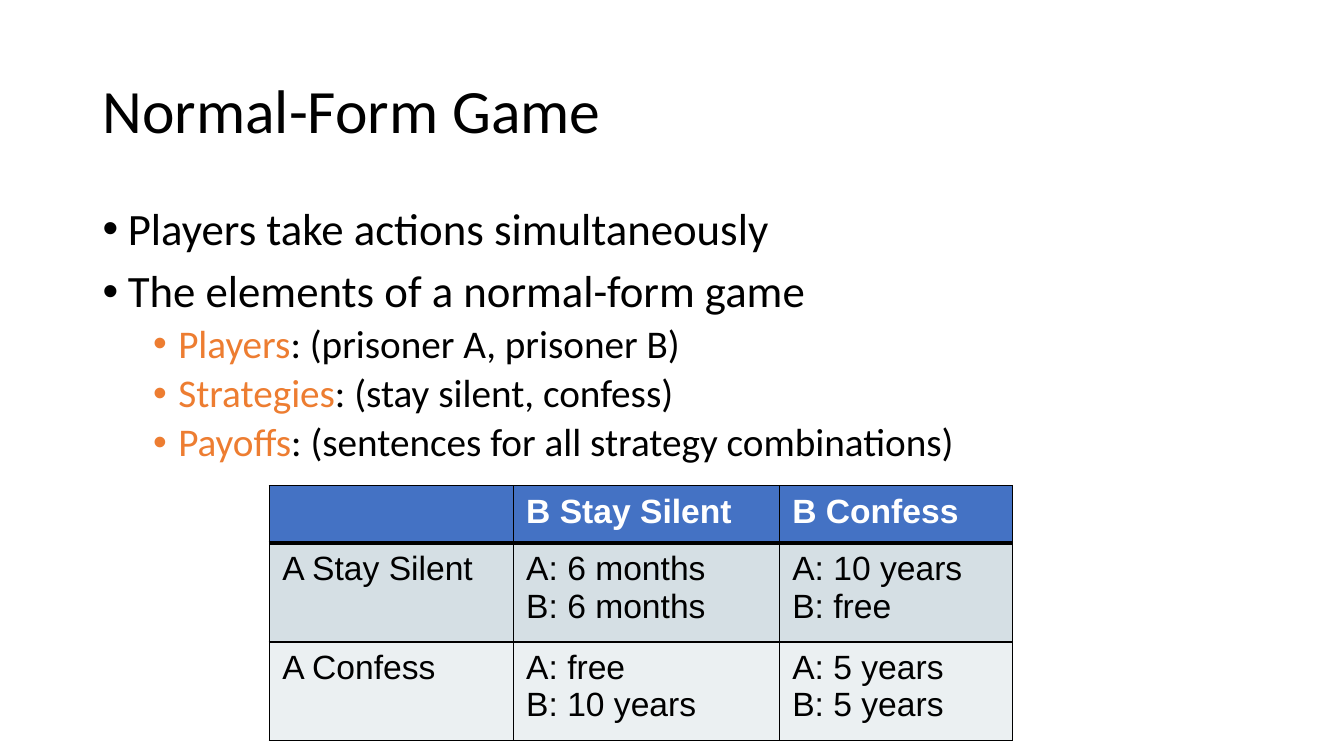
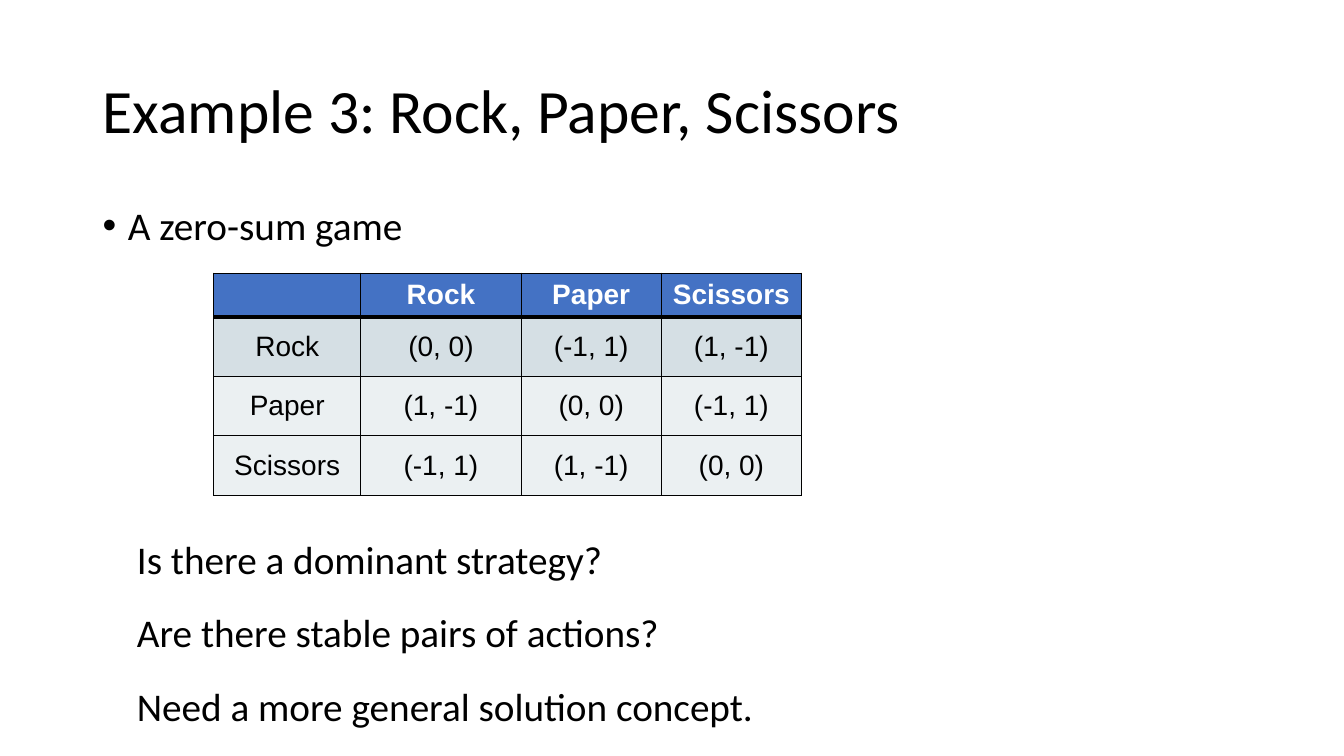
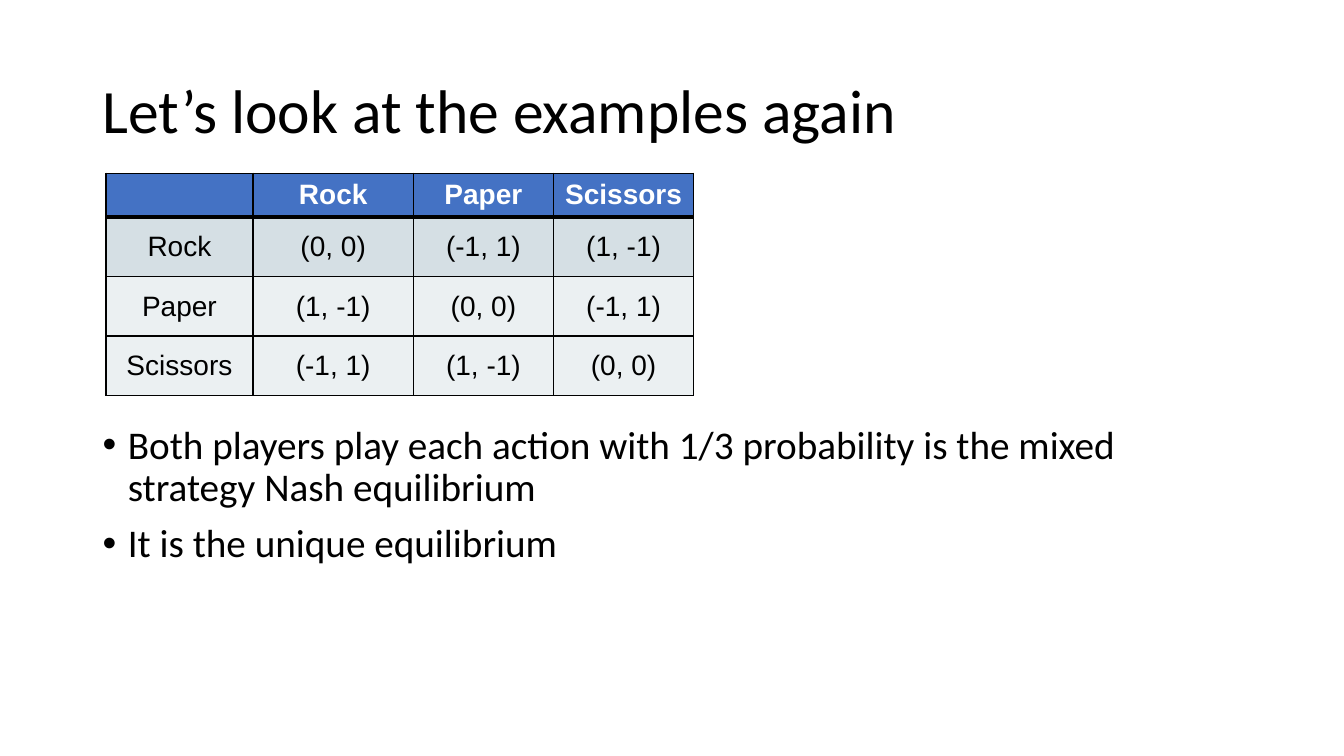
from lxml.etree import SubElement as Sub
from pptx import Presentation
from pptx.dml.color import RGBColor as Rgb
from pptx.enum.text import MSO_ANCHOR as Anchor, PP_ALIGN as Align
from pptx.oxml.ns import qn
from pptx.util import Inches, Pt

# Shared look
HUE = {"ink": "000000", "paper": "FFFFFF", "key": "ED7D31",
       "head": "4472C4", "dark": "D5DFE4", "pale": "EBF0F2"}
LEFT, WIDE = 6.9, 86.25  # text column, percent of slide width

deck = Presentation()
deck.slide_width, deck.slide_height = Inches(13.33), Inches(7.5)
COL, ROW = deck.slide_width / 100, deck.slide_height / 100


def write(frame, text, key="", size=28, font="Calibri", hue="ink", bold=False,
          align=Align.LEFT, lead=None, level=None):
    """Add one paragraph; key is a coloured opening, level makes a bullet."""
    first = not frame.text
    para = frame.paragraphs[0] if first else frame.add_paragraph()
    para.alignment = align
    if lead:
        para.line_spacing = lead
    if level is not None:
        if not first:
            para.space_before = Pt(5 if level else 10)
        prop = para._p.get_or_add_pPr()
        prop.set("marL", str(Inches(0.25 + 0.5 * level)))
        prop.set("indent", str(Inches(-0.25)))
        Sub(prop, qn("a:buFont"), typeface="Arial")
        Sub(prop, qn("a:buChar"), char="•")
    for part, tint in ((key, "key"), (text, hue)):
        if part:
            run = para.add_run()
            run.text = part
            run.font.name, run.font.size, run.font.bold = font, Pt(size), bold
            run.font.color.rgb = Rgb.from_string(HUE[tint])


def edge(cell, row):
    """Draw thin black borders, with a thick one under the header row."""
    prop = cell._tc.get_or_add_tcPr()
    thick = {0: "B", 1: "T"}.get(row)
    for side in "LRTB":
        line = Sub(prop, qn(f"a:ln{side}"), w=str(Pt(3 if side == thick else 1)))
        Sub(Sub(line, qn("a:solidFill")), qn("a:srgbClr"), val=HUE["ink"])


# Table contents: each payoff in the game follows from the step between moves
jail = [["", "B Stay Silent", "B Confess"],
        ["A Stay Silent", "A: 6 months\nB: 6 months", "A: 10 years\nB: free"],
        ["A Confess", "A: free\nB: 10 years", "A: 5 years\nB: 5 years"]]
moves = ["Rock", "Paper", "Scissors"]
game = [["", *moves]]
for i, move in enumerate(moves):
    gains = [(0, -1, 1)[(j - i) % 3] for j in range(3)]
    game.append([move, *(f"({gain}, {-gain})" for gain in gains)])

# Table styles: column and row sizes in percent of the slide
wide = dict(data=jail, cols=[18.15, 19.8, 17.33], rows=[7.6, 13.07, 13.07],
            pad=(0.13, 0.07), size=24, align=Align.LEFT, anchor=Anchor.TOP)
small = dict(data=game, cols=[10.95, 11.93, 10.43, 10.43],
             rows=[5.47, 7.87, 7.87, 7.87], pad=(0.1, 0.05), size=20,
             align=Align.CENTER, anchor=Anchor.MIDDLE)

# Slides: title, body top and height, bullets, table style and place
pages = [
    ("Normal-Form Game", 26.67, 63.47, [
        dict(text="Players take actions simultaneously", size=32, level=0),
        dict(text="The elements of a normal-form game", size=32, level=0),
        dict(key="Players", text=": (prisoner A, prisoner B)", level=1),
        dict(key="Strategies", text=": (stay silent, confess)", level=1),
        dict(key="Payoffs", text=": (sentences for all strategy combinations)",
             level=1)],
     wide, 20.03, 64.27),
    ("Example 3: Rock, Paper, Scissors", 26.67, 63.47, [
        dict(text="A zero-sum game", level=0)],
     small, 15.9, 36.13),
    ("Let’s look at the examples again", 55.6, 34.4, [
        dict(text="Both players play each action with 1/3 probability is the "
                  "mixed strategy Nash equilibrium", level=0),
        dict(text="It is the unique equilibrium", level=0)],
     small, 7.88, 22.93),
]

for title, top, high, points, style, x, y in pages:
    slide = deck.slides.add_slide(deck.slide_layouts[6])

    # Title and bullets
    for start, tall, anchor, lines in (
            (5.33, 19.33, Anchor.MIDDLE, [dict(text=title, size=44)]),
            (top, high, Anchor.TOP, points)):
        box = slide.shapes.add_textbox(
            int(LEFT * COL), int(start * ROW), int(WIDE * COL), int(tall * ROW))
        frame = box.text_frame
        frame.word_wrap, frame.vertical_anchor = True, anchor
        for line in lines:
            write(frame, lead=0.9, **line)

    # Table
    cols, rows = style["cols"], style["rows"]
    table = slide.shapes.add_table(
        len(rows), len(cols), int(x * COL), int(y * ROW),
        int(sum(cols) * COL), int(sum(rows) * ROW)).table
    for col, size in zip(table.columns, cols):
        col.width = int(size * COL)
    for r, size in enumerate(rows):
        table.rows[r].height = int(size * ROW)
        for c, text in enumerate(style["data"][r]):
            cell = table.cell(r, c)
            edge(cell, r)
            cell.fill.solid()
            cell.fill.fore_color.rgb = Rgb.from_string(
                HUE[("head", "dark", "pale", "pale")[r]])
            cell.vertical_anchor = style["anchor"]
            cell.margin_left = cell.margin_right = Inches(style["pad"][0])
            cell.margin_top = cell.margin_bottom = Inches(style["pad"][1])
            for line in text.splitlines():
                write(cell.text_frame, line, size=style["size"], font="Arial",
                      hue="ink" if r else "paper", bold=r == 0,
                      align=style["align"])

# Questions below the table of the second slide
asks = [("Is there a dominant strategy?", 36.45),
        ("Are there stable pairs of actions?", 40.8),
        ("Need a more general solution concept.", 48.3)]
for i, (text, size) in enumerate(asks):
    box = deck.slides[1].shapes.add_textbox(
        int(9.45 * COL), int((70.13 + 9.73 * i) * ROW),
        int(size * COL), int(7.6 * ROW))
    box.text_frame.word_wrap = False
    write(box.text_frame, text)

deck.save("out.pptx")
